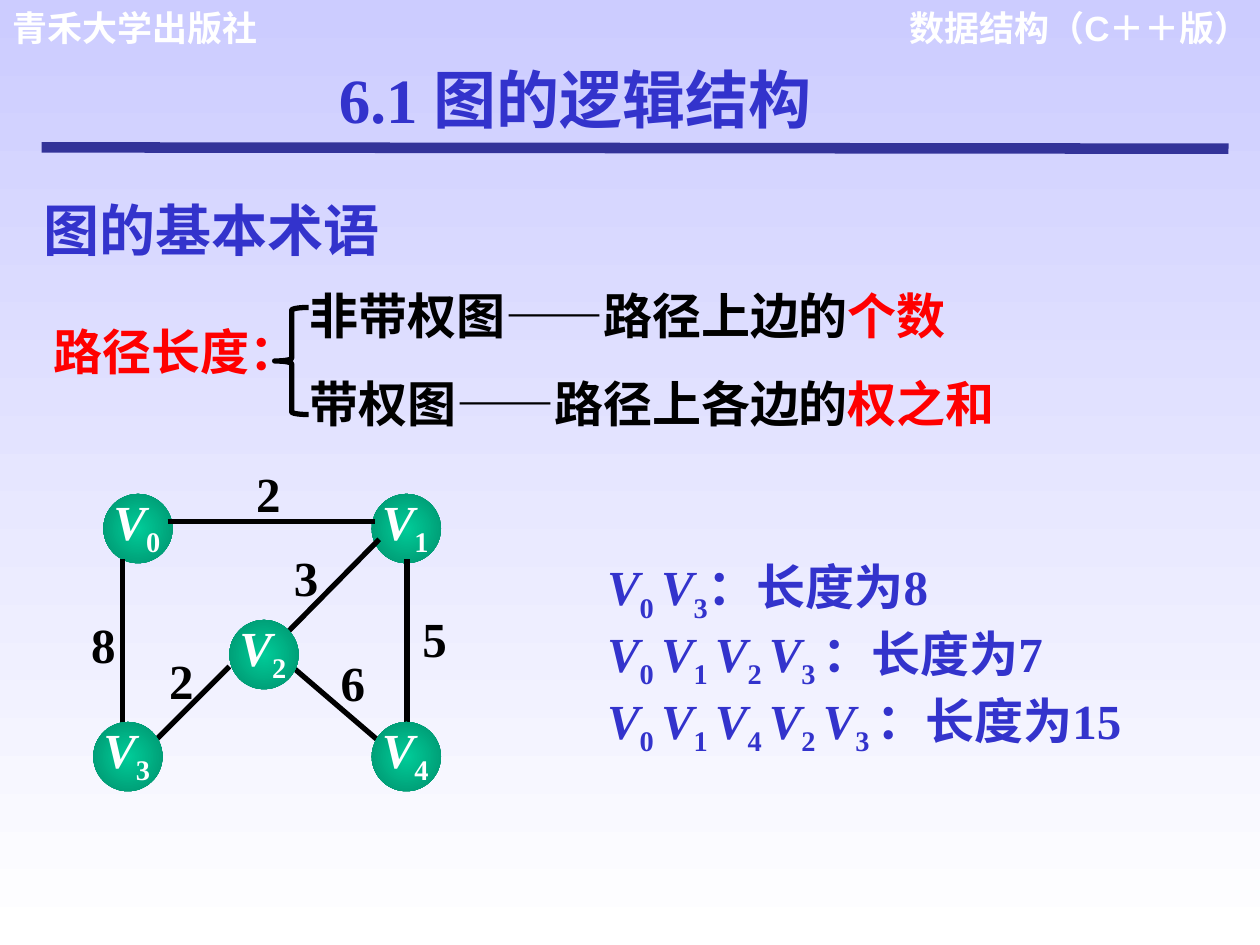
from dataclasses import dataclass
from lxml.etree import SubElement
from pptx import Presentation
from pptx.dml.color import RGBColor
from pptx.enum.shapes import MSO_CONNECTOR, MSO_SHAPE
from pptx.enum.text import MSO_ANCHOR, MSO_AUTO_SIZE, PP_ALIGN
from pptx.oxml.ns import qn
from pptx.util import Inches, Pt


@dataclass(frozen=True)
class Theme:
    blue: str = "3333CC"
    navy: str = "333399"
    red: str = "FF0000"
    black: str = "000000"
    white: str = "FFFFFF"
    lilac: str = "CCCCFF"
    green: str = "00CC99"
    deep: str = "008F6B"
    serif: str = "Times New Roman"
    sans: str = "Arial"
    small: int = 20
    body: int = 28
    head: int = 32
    title: int = 36
    thin: int = 3
    thick: int = 6


T = Theme()
PAD = (0.1, 0.05, 0.1, 0.05)
NODES = [(0.82, 3.92), (2.95, 3.92), (1.82, 4.92), (0.74, 5.73), (2.95, 5.73)]
EDGES = [
    (1.33, 4.14, 2.98, 4.14),
    (3.01, 4.28, 2.29, 5.01),
    (1.82, 5.29, 1.2, 5.91),
    (3.23, 4.44, 3.23, 5.79),
    (2.34, 5.31, 3.04, 5.91),
    (0.97, 4.44, 0.97, 5.76),
]
COSTS = [("2", 1.88, 3.63), ("5", 3.2, 4.78), ("6", 2.55, 5.13),
         ("3", 2.18, 4.3), ("2", 1.19, 5.11), ("8", 0.57, 4.83)]


def apply(item, values):
    for name, value in values.items():
        setattr(item, name, value)


def color(text):
    return RGBColor.from_string(text)


def box(at):
    return [Inches(n) for n in at]


def write(shape, lines, size, ink, face=T.serif, pad=PAD, align=PP_ALIGN.LEFT, space=1.0):
    frame = shape.text_frame
    sides = dict(zip(("margin_left", "margin_top", "margin_right", "margin_bottom"), box(pad)))
    apply(frame, {"word_wrap": True, "auto_size": MSO_AUTO_SIZE.NONE,
                  "vertical_anchor": MSO_ANCHOR.TOP, **sides})
    for spot, parts in enumerate(lines):
        para = frame.add_paragraph() if spot else frame.paragraphs[0]
        apply(para, {"alignment": align, "line_spacing": space})
        for text, look in parts:
            run = para.add_run()
            run.text = text
            apply(run.font, {"name": face, "size": Pt(size), "bold": True,
                             "italic": look.get("italic", False)})
            run.font.color.rgb = color(look.get("ink", ink))
            if look.get("sub"):
                run.font._element.set("baseline", "-25000")
    return shape


def label(slide, at, lines, size, ink, **look):
    return write(slide.shapes.add_textbox(*box(at)), lines, size, ink, **look)


def plain(text):
    return [[(text, {})]]


def vertex(index):
    return [("V", {"italic": True}), (index, {"sub": True})]


def route(names, tail):
    return [part for name in names for part in vertex(name)] + [(tail, {})]


def stroke(slide, ends, ink=T.black, width=T.thin):
    line = slide.shapes.add_connector(MSO_CONNECTOR.STRAIGHT, *box(ends))
    line.line.color.rgb = color(ink)
    line.line.width = Pt(width)
    SubElement(line._element.spPr, qn("a:effectLst"))


def blend(fill, first, last):
    fill.gradient()
    for stop, ink, place in zip(fill.gradient_stops, (first, last), (0, 1)):
        stop.color.rgb = color(ink)
        stop.position = place


def node(slide, index):
    left, top = NODES[index]
    disc = slide.shapes.add_shape(MSO_SHAPE.OVAL, *box((left, top, 0.55, 0.55)))
    disc.shadow.inherit = False
    disc.line.fill.background()
    blend(disc.fill, T.green, T.deep)
    grad = disc._element.spPr.find(qn("a:gradFill"))
    grad.remove(grad.find(qn("a:lin")))
    radial = SubElement(grad, qn("a:path"), {"path": "circle"})
    SubElement(radial, qn("a:fillToRect"), {side: "50000" for side in "ltrb"})
    label(slide, (left + 0.07, top - 0.05, 0.51, 0.65), [vertex(str(index))],
          T.body, T.white, pad=(0.01, 0.03, 0, 0.01), align=PP_ALIGN.JUSTIFY)


def brace(slide, at):
    shape = slide.shapes.add_shape(MSO_SHAPE.LEFT_BRACE, *box(at))
    shape.shadow.inherit = False
    shape.fill.background()
    shape.line.color.rgb = color(T.black)
    shape.line.width = Pt(T.thin)
    shape.adjustments[0] = 0.08
    shape.adjustments[1] = 0.5


def heading(slide, at, text):
    title = slide.shapes.title
    apply(title, dict(zip(("left", "top", "width", "height"), box(at))))
    write(title, plain(text), T.title, T.blue)
    font = title.text_frame.paragraphs[0].runs[0].font._element
    glow = SubElement(font, qn("a:effectLst"))
    font.find(qn("a:solidFill")).addnext(glow)
    cast = SubElement(glow, qn("a:outerShdw"), {"blurRad": "38100", "dist": "38100", "dir": "2700000"})
    tint = SubElement(cast, qn("a:srgbClr"), {"val": T.black})
    SubElement(tint, qn("a:alpha"), {"val": "43000"})


def graph(slide):
    for index in (0, 1):
        node(slide, index)
    for ends in EDGES:
        stroke(slide, ends)
    for index in (2, 3, 4):
        node(slide, index)
    for cost, left, top in COSTS:
        label(slide, (left, top, 0.5, 0.57), plain(cost), T.body, T.black, align=PP_ALIGN.CENTER)


def main():
    deck = Presentation()
    apply(deck, {"slide_width": Inches(10), "slide_height": Inches(7.5)})
    slide = deck.slides.add_slide(deck.slide_layouts[5])
    back = slide.background.fill
    blend(back, T.lilac, T.white)
    back.gradient_angle = 270

    label(slide, (7, 0, 3.02, 0.43), plain("数据结构（C＋＋版）"), T.small, T.white,
          face=T.sans, align=PP_ALIGN.RIGHT)
    label(slide, (0, 0, 2.71, 0.43), plain("青禾大学出版社"), T.small, T.white, face=T.sans)
    stroke(slide, (0.33, 1.17, 9.75, 1.18), T.navy, T.thick)
    heading(slide, (2.59, 0.43, 4.17, 0.7), "6.1 图的逻辑结构")
    label(slide, (0.25, 1.5, 5.33, 0.63), plain("图的基本术语"), T.head, T.blue, face=T.sans)

    label(slide, (0.33, 2.5, 8.5, 0.63), plain("路径长度："), T.body, T.red)
    terms = [("非带权图——路径上边的", "个数"), ("带权图——路径上各边的", "权之和")]
    label(slide, (2.36, 1.98, 5.67, 1.5),
          [[(text, {}), (key, {"ink": T.red})] for text, key in terms],
          T.body, T.black, space=1.5)
    brace(slide, (2.18, 2.44, 0.27, 0.85))

    routes = [(("0 ", "3"), "：长度为8"),
              (("0 ", "1 ", "2 ", "3 "), "：长度为7"),
              (("0 ", "1 ", "4 ", "2 ", "3 "), "：长度为15")]
    label(slide, (4.72, 4.37, 4.83, 1.5), [route(*item) for item in routes], T.body, T.blue)
    graph(slide)
    deck.save("out.pptx")


if __name__ == "__main__":
    main()
